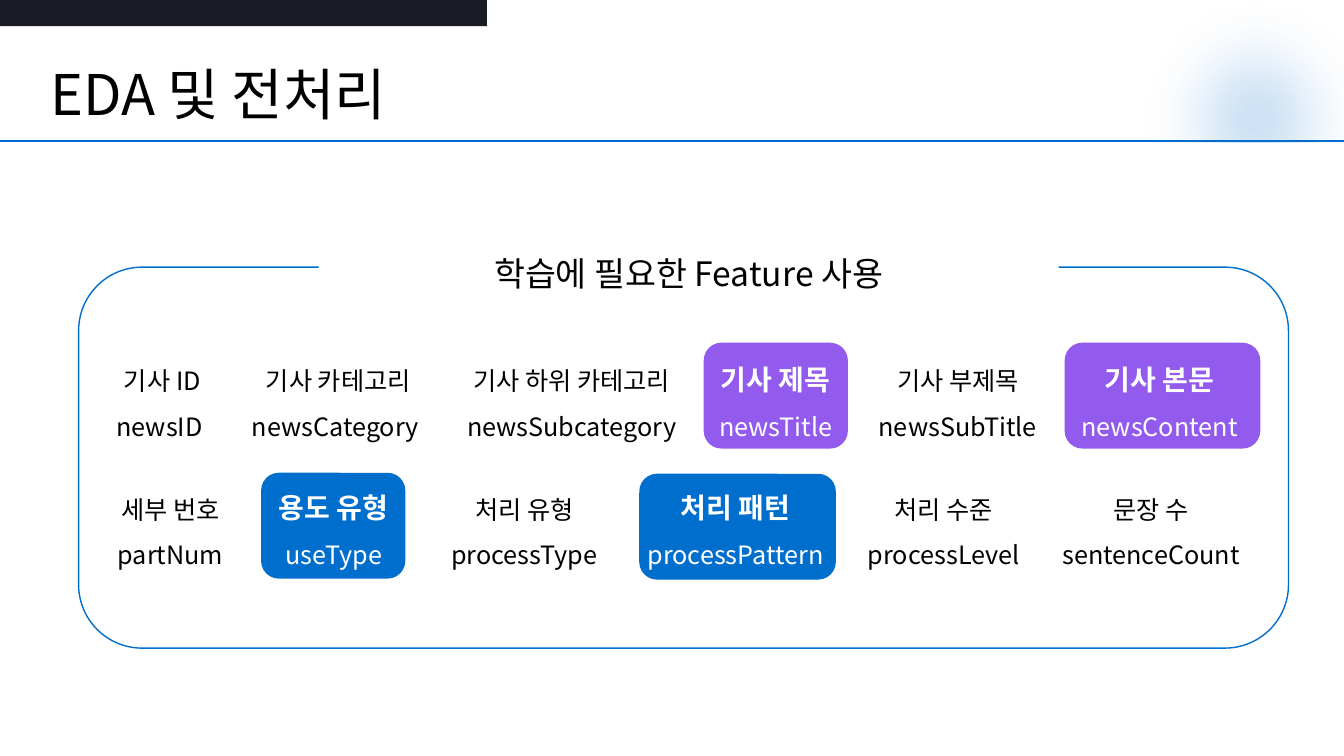
from lxml.etree import SubElement
from pptx import Presentation
from pptx.dml.color import RGBColor
from pptx.enum.shapes import MSO_CONNECTOR, MSO_SHAPE
from pptx.enum.text import MSO_ANCHOR, PP_ALIGN
from pptx.oxml.ns import qn
from pptx.util import Inches, Pt

COLORS = {
    "blue": "006ECD",
    "purple": "925BEE",
    "navy": "191C24",
    "white": "FFFFFF",
    "black": "000000",
}
FONT = "Noto Sans CJK KR"

PLAIN = {"size": Pt(18), "bold": False, "color": "black"}
KEY_NAME = {"size": Pt(20), "bold": True, "color": "white"}
KEY_FIELD = {"size": Pt(18), "bold": False, "color": "white"}
TITLE = {"size": Pt(40), "color": "black"}
HEADING = {"size": Pt(24), "color": "black"}
CENTERED = {"alignment": PP_ALIGN.CENTER, "line_spacing": 1.5}

# left, top, width, colour
CARDS = [
    (6.34, 4.7, 1.95, "blue"),
    (2.59, 4.69, 1.43, "blue"),
    (10.56, 3.4, 1.94, "purple"),
    (6.98, 3.4, 1.43, "purple"),
]
CARD_HEIGHT = 1.05

# row top: left, width, Korean name, field name, highlighted
FEATURE_ROWS = {
    3.43: [
        (1.05, 1.12, "기사 ID", "newsID ", False),
        (2.35, 2.01, "기사 카테고리", "newsCategory ", False),
        (4.53, 2.28, "기사 하위 카테고리", "newsSubcategory ", False),
        (6.98, 1.43, "기사 제목", "newsTitle", True),
        (8.58, 1.84, "기사 부제목", "newsSubTitle", False),
        (10.59, 1.82, "기사 본문", "newsContent", True),
    ],
    4.7: [
        (1.05, 1.28, "세부 번호", "partNum", False),
        (2.53, 1.56, "용도 유형", "useType", True),
        (4.29, 1.82, "처리 유형", "processType", False),
        (6.3, 1.99, "처리 패턴", "processPattern", True),
        (8.49, 1.74, "처리 수준", "processLevel", False),
        (10.42, 1.99, "문장 수", "sentenceCount", False),
    ],
}
KEY_RISE = 0.05


def set_attributes(target, values):
    for name, value in values.items():
        setattr(target, name, value)


def rgb(color):
    return RGBColor.from_string(COLORS[color])


class SlideBuilder:
    def __init__(self, slide):
        self.slide = slide

    def shape(self, kind, box, fill=None, line=None):
        shape = self.slide.shapes.add_shape(kind, *map(Inches, box))
        shape.shadow.inherit = False
        if fill:
            shape.fill.solid()
            shape.fill.fore_color.rgb = rgb(fill)
        else:
            shape.fill.background()
        if line:
            shape.line.color.rgb = rgb(line)
            shape.line.width = Pt(1)
        else:
            shape.line.fill.background()
        return shape

    def glow(self, box, color, opacity, radius):
        """Draw a translucent ellipse with soft edges."""
        ellipse = self.shape(MSO_SHAPE.OVAL, box, color)
        properties = ellipse._element.spPr
        fill_color = properties.find(qn("a:solidFill"))[0]
        SubElement(fill_color, qn("a:alpha"), val=str(opacity * 1000))
        effects = properties.find(qn("a:effectLst"))
        SubElement(effects, qn("a:softEdge"), rad=str(Inches(radius)))

    def fill_text(self, frame, lines, layout):
        """Fill a text frame with (text, font format) lines."""
        for index, (text, style) in enumerate(lines):
            paragraph = frame.add_paragraph() if index else frame.paragraphs[0]
            set_attributes(paragraph, layout)
            run = paragraph.add_run()
            run.text = text
            values = {"name": FONT, **style}
            run.font.color.rgb = rgb(values.pop("color"))
            set_attributes(run.font, values)
            SubElement(run._r.get_or_add_rPr(), qn("a:ea"), typeface=FONT)

    def text(self, box, lines, layout, wrap=True):
        frame = self.slide.shapes.add_textbox(*map(Inches, box)).text_frame
        frame.word_wrap = wrap
        self.fill_text(frame, lines, layout)

    def line(self, start, end, color):
        points = map(Inches, (*start, *end))
        connector = self.slide.shapes.add_connector(MSO_CONNECTOR.STRAIGHT, *points)
        connector.line.color.rgb = rgb(color)
        connector.line.width = Pt(1)
        SubElement(connector._element.spPr, qn("a:effectLst"))


def main():
    presentation = Presentation()
    presentation.slide_width = Inches(13.33)
    presentation.slide_height = Inches(7.5)
    builder = SlideBuilder(presentation.slides.add_slide(presentation.slide_layouts[6]))

    for left, top, width, color in CARDS:
        builder.shape(MSO_SHAPE.ROUNDED_RECTANGLE, (left, top, width, CARD_HEIGHT), color)

    builder.glow((11, -0.37, 2.91, 3.08), "blue", 24, 0.7)
    builder.shape(MSO_SHAPE.RECTANGLE, (11, 1.42, 2.33, 1.23), "white")
    builder.text((0.4, 0.54, 6.27, 0.77), [("EDA 및 전처리", TITLE)], {})

    for row_top, features in FEATURE_ROWS.items():
        for left, width, name, field, highlighted in features:
            top = row_top - KEY_RISE if highlighted else row_top
            styles = (KEY_NAME, KEY_FIELD) if highlighted else (PLAIN, PLAIN)
            lines = list(zip((name, field), styles))
            builder.text((left, top, width, 1), lines, CENTERED, wrap=False)

    builder.shape(MSO_SHAPE.ROUNDED_RECTANGLE, (0.78, 2.65, 12, 3.78), line="blue")
    heading = builder.shape(MSO_SHAPE.RECTANGLE, (3.16, 2.28, 7.34, 0.65), "white")
    heading.text_frame.vertical_anchor = MSO_ANCHOR.MIDDLE
    builder.fill_text(heading.text_frame, [("학습에 필요한 Feature 사용", HEADING)], CENTERED)

    builder.line((0, 1.4), (13.33, 1.4), "blue")
    builder.shape(MSO_SHAPE.RECTANGLE, (0, 0, 4.83, 0.26), "navy")
    presentation.save("out.pptx")


if __name__ == "__main__":
    main()
